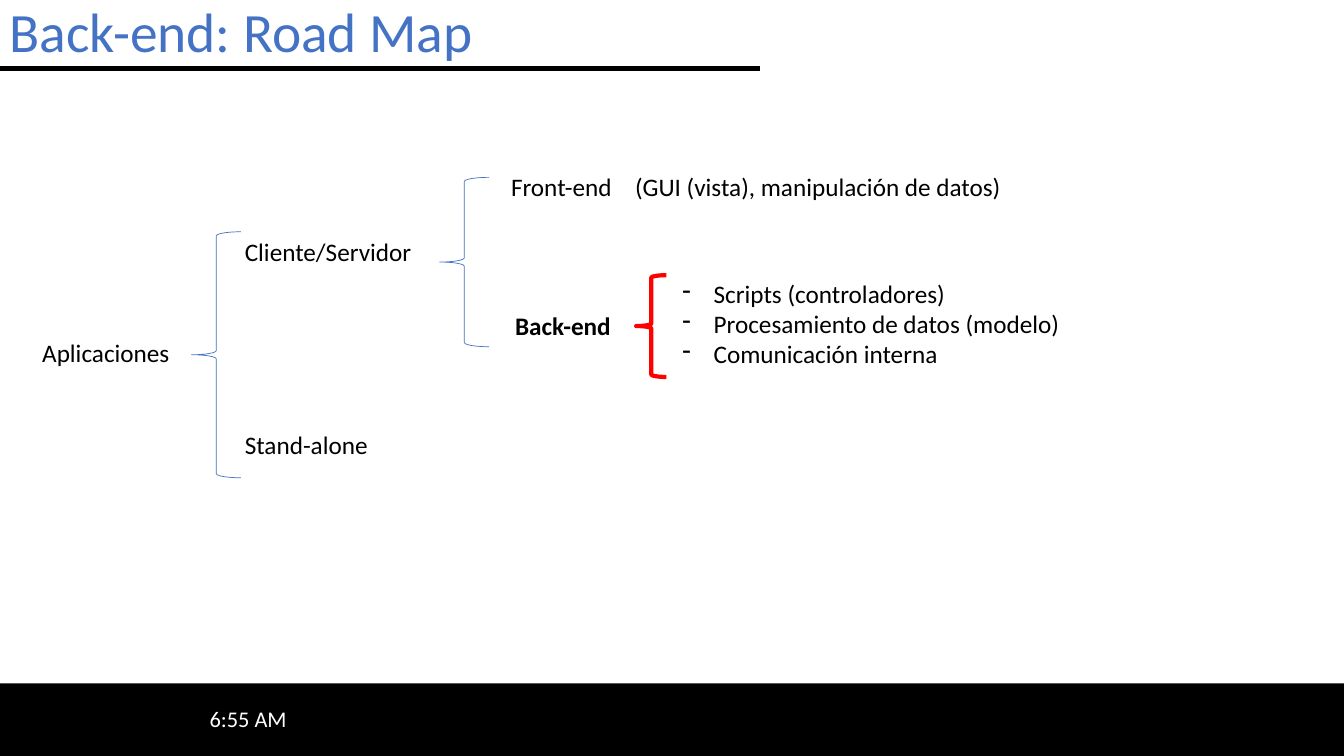
from lxml.etree import SubElement
from pptx import Presentation
from pptx.dml.color import RGBColor
from pptx.enum.shapes import MSO_CONNECTOR, MSO_SHAPE
from pptx.enum.text import MSO_ANCHOR, MSO_AUTO_SIZE
from pptx.oxml.ns import qn
from pptx.util import Inches, Pt

BLACK = RGBColor(0x00, 0x00, 0x00)
WHITE = RGBColor(0xFF, 0xFF, 0xFF)
BLUE = RGBColor(0x44, 0x72, 0xC4)
RED = RGBColor(0xFF, 0x00, 0x00)


class RoadMap:
    """Holds the style and the current slide."""

    font = "Calibri"
    label_size = 18
    label_height = 0.4
    bullet_indent = 0.31

    def __init__(self, slide):
        """Keep the slide that receives the elements."""
        self.slide = slide

    def text(self, content, left, top, width, height=label_height, *,
             size=label_size, color=BLACK, bold=False, wrap=False,
             anchor=MSO_ANCHOR.TOP, spacing=None, bullet=None, tab=None):
        """Add a text box with one paragraph per line of content."""
        box = self.slide.shapes.add_textbox(
            Inches(left), Inches(top), Inches(width), Inches(height))
        frame = box.text_frame
        frame.word_wrap = wrap
        frame.auto_size = MSO_AUTO_SIZE.NONE if wrap else MSO_AUTO_SIZE.SHAPE_TO_FIT_TEXT
        frame.vertical_anchor = anchor
        frame.text = content
        for paragraph in frame.paragraphs:
            font = paragraph.runs[0].font
            font.name, font.size, font.bold = self.font, Pt(size), bold
            font.color.rgb = color
            if spacing:
                paragraph.line_spacing = spacing
            if bullet:
                self.bullet(paragraph, bullet)
            if tab:
                self.tab_stop(paragraph, tab)

    def bullet(self, paragraph, character):
        """Give a paragraph a hanging bullet."""
        properties = paragraph._p.get_or_add_pPr()
        indent = Inches(self.bullet_indent)
        properties.set("marL", str(indent))
        properties.set("indent", str(-indent))
        SubElement(properties, qn("a:buChar"), char=character)

    def tab_stop(self, paragraph, position):
        """Give a paragraph one left tab stop."""
        tabs = SubElement(paragraph._p.get_or_add_pPr(), qn("a:tabLst"))
        SubElement(tabs, qn("a:tab"), pos=str(Inches(position)), algn="l")

    def bar(self, left, top, width, height, color):
        """Add a filled rectangle without an outline."""
        shape = self.slide.shapes.add_shape(
            MSO_SHAPE.RECTANGLE, Inches(left), Inches(top), Inches(width), Inches(height))
        shape.shadow.inherit = False
        shape.fill.solid()
        shape.fill.fore_color.rgb = color
        shape.line.fill.background()

    def brace(self, left, top, width, height, color=BLUE, weight=0.5):
        """Add a left brace that opens a group of branches."""
        shape = self.slide.shapes.add_shape(
            MSO_SHAPE.LEFT_BRACE, Inches(left), Inches(top), Inches(width), Inches(height))
        shape.shadow.inherit = False
        shape.fill.background()
        shape.line.color.rgb = color
        shape.line.width = Pt(weight)

    def rule(self, left, top, right, color, weight):
        """Add a horizontal line."""
        line = self.slide.shapes.add_connector(
            MSO_CONNECTOR.STRAIGHT, Inches(left), Inches(top), Inches(right), Inches(top))
        line.line.color.rgb = color
        line.line.width = Pt(weight)
        SubElement(line._element.spPr, qn("a:effectLst"))


def build():
    """Build the road map slide and save it."""
    presentation = Presentation()
    presentation.slide_width = Inches(13.33)
    presentation.slide_height = Inches(7.5)
    road_map = RoadMap(presentation.slides.add_slide(presentation.slide_layouts[6]))

    road_map.bar(0, 6.78, 13.33, 0.72, BLACK)
    road_map.rule(0, 0.68, 7.54, BLACK, 3)
    road_map.text("Back-end: Road Map", 0, 0, 8, 0.68, size=39.6, color=BLUE,
                  wrap=True, anchor=MSO_ANCHOR.MIDDLE, spacing=0.9)
    road_map.text("6:55 AM", 1.98, 6.93, 1.92, size=16, color=WHITE,
                  wrap=True, anchor=MSO_ANCHOR.MIDDLE)

    road_map.text("Aplicaciones", 0.32, 3.3, 1.48)
    road_map.brace(1.9, 2.3, 0.49, 2.44)
    road_map.text("Cliente/Servidor", 2.33, 2.3, 1.87)
    road_map.text("Stand-alone", 2.33, 4.21, 1.43)

    road_map.brace(4.36, 1.76, 0.49, 1.68)
    road_map.text("Front-end\t(GUI (vista), manipulación de datos)",
                  4.97, 1.65, 5.12, tab=1.23)
    road_map.text("Back-end", 5.01, 3.03, 1.17, bold=True)

    road_map.brace(6.31, 2.73, 0.3, 1.01, RED, 3)
    road_map.text("Scripts (controladores)\nProcesamiento de datos (modelo)\n"
                  "Comunicación interna", 6.67, 2.71, 3.99, 1.01, bullet="-")

    presentation.save("out.pptx")


build()
